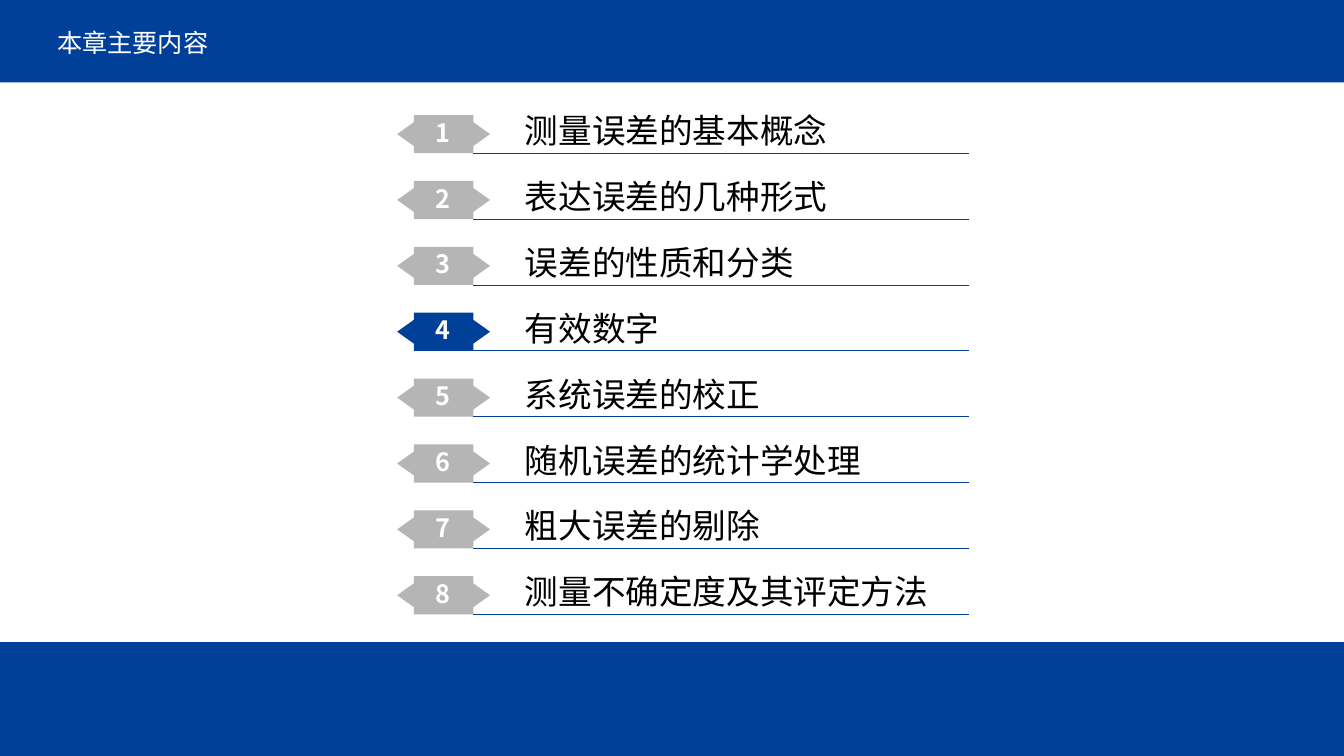
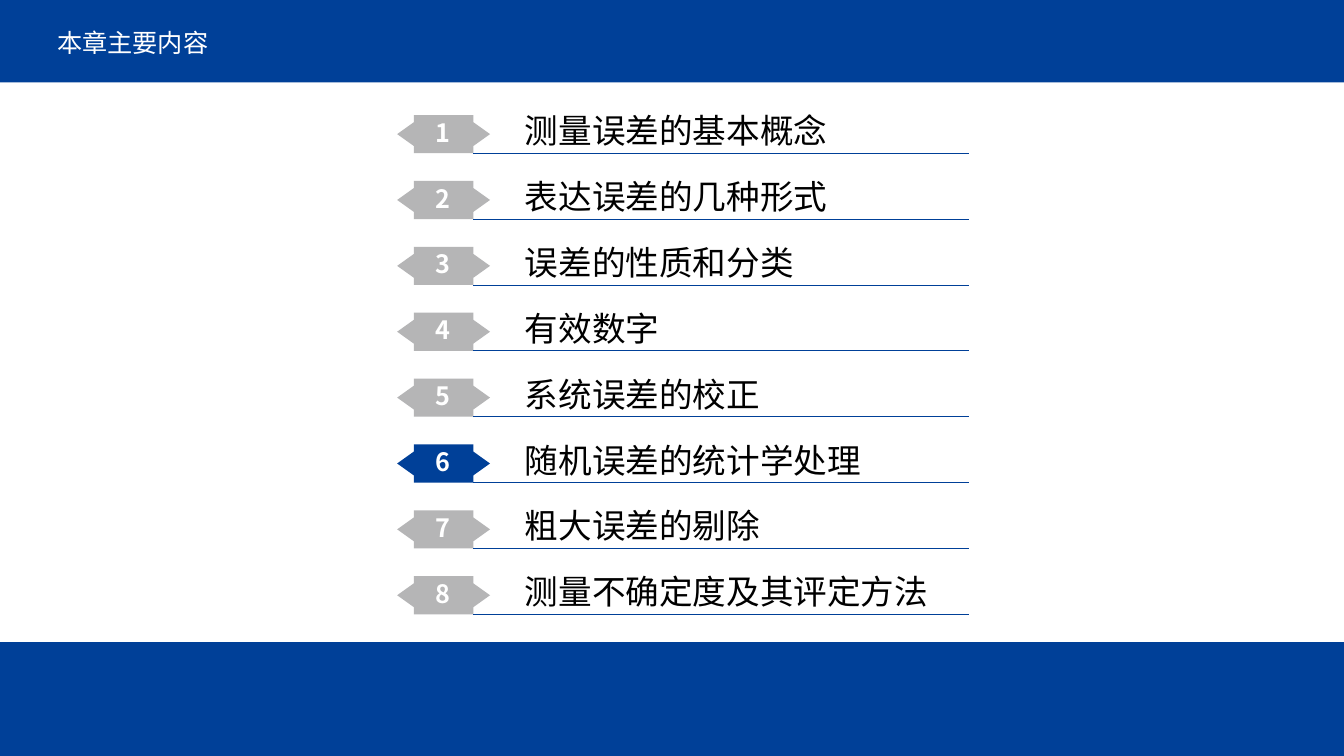
"""Build the chapter outline slides, each highlighting the current section."""
from dataclasses import dataclass

from pptx import Presentation
from pptx.dml.color import RGBColor as Rgb
from pptx.enum.shapes import MSO_CONNECTOR as Connector, MSO_SHAPE as Preset
from pptx.enum.text import MSO_ANCHOR as Anchor, PP_ALIGN as Align
from pptx.oxml.ns import qn
from pptx.util import Cm, Pt


@dataclass(frozen=True)
class Theme:
    blue: Rgb = Rgb(0x00, 0x40, 0x98)
    gray: Rgb = Rgb(0xB5, 0xB5, 0xB6)
    white: Rgb = Rgb(0xFF, 0xFF, 0xFF)
    black: Rgb = Rgb(0x00, 0x00, 0x00)
    latin: str = "Times New Roman"
    chinese: str = "Noto Sans CJK SC"
    title_size: Pt = Pt(18)
    number_size: Pt = Pt(18)
    topic_size: Pt = Pt(24)
    rule_width: Pt = Pt(0.5)


WIDTH, HEIGHT = Cm(33.87), Cm(19.05)
HEADER_HEIGHT, FOOTER_TOP = Cm(2.08), Cm(16.18)
FIRST_TOP, PITCH = Cm(2.9), Cm(1.66)
BADGE_LEFT, TIP, BODY = Cm(10.01), Cm(0.42), Cm(1.5)
BADGE_HEIGHT, NOTCH = Cm(0.96), Cm(0.18)
RULE_LEFT, RULE_RIGHT = BADGE_LEFT + TIP + BODY, Cm(24.43)

TITLE = "本章主要内容"
TOPICS = [
    "测量误差的基本概念",
    "表达误差的几种形式",
    "误差的性质和分类",
    "有效数字",
    "系统误差的校正",
    "随机误差的统计学处理",
    "粗大误差的剔除",
    "测量不确定度及其评定方法",
]
CURRENT_SECTIONS = [4, 6]


class Deck:
    def __init__(self, theme):
        self.theme = theme
        self.presentation = Presentation()
        self.presentation.slide_width = WIDTH
        self.presentation.slide_height = HEIGHT
        self.slide = None

    def new_slide(self, title):
        self.slide = self.presentation.slides.add_slide(self.presentation.slide_layouts[6])
        self.band(FOOTER_TOP, HEIGHT - FOOTER_TOP)
        self.band(0, HEADER_HEIGHT)
        heading = self.text(self.slide.shapes, title, Cm(1.19), Cm(0.66), Cm(23.98), Cm(0.94),
                            self.theme.title_size, self.theme.white)
        heading.vertical_anchor = Anchor.MIDDLE
        heading.paragraphs[0].line_spacing = 0.9

    def paint(self, shape, color):
        shape.shadow.inherit = False
        shape.fill.solid()
        shape.fill.fore_color.rgb = color
        shape.line.fill.background()

    def band(self, top, height):
        self.paint(self.slide.shapes.add_shape(Preset.RECTANGLE, 0, top, WIDTH, height), self.theme.blue)

    def text(self, shapes, words, left, top, width, height, size, color, latin=None):
        frame = shapes.add_textbox(left, top, width, height).text_frame
        frame.word_wrap = True
        frame.text = words
        font = frame.paragraphs[0].runs[0].font
        font.size = size
        font.color.rgb = color
        font.name = latin or self.theme.latin
        east_asian = font._element.makeelement(qn("a:ea"), {"typeface": self.theme.chinese})
        font._element.append(east_asian)
        return frame

    def badge(self, shapes, top, color):
        body_left, body_right = BADGE_LEFT + TIP, RULE_LEFT
        middle, bottom = top + BADGE_HEIGHT // 2, top + BADGE_HEIGHT
        outline = shapes.build_freeform(body_right, top)
        outline.add_line_segments([
            (body_left, top), (body_left, top + NOTCH), (BADGE_LEFT, middle),
            (body_left, bottom - NOTCH), (body_left, bottom), (body_right, bottom),
            (body_right, bottom - NOTCH), (body_right + TIP, middle), (body_right, top + NOTCH),
        ])
        self.paint(outline.convert_to_shape(), color)

    def number(self, shapes, value, top):
        frame = self.text(shapes, str(value), Cm(10.64), top - Cm(0.18), Cm(1.07), Cm(1.22),
                          self.theme.number_size, self.theme.white, self.theme.chinese)
        frame.word_wrap = False
        frame.vertical_anchor = Anchor.MIDDLE
        frame.paragraphs[0].alignment = Align.CENTER
        frame.paragraphs[0].runs[0].font.bold = True

    def rule(self, shapes, y):
        rule = shapes.add_connector(Connector.STRAIGHT, RULE_LEFT, y, RULE_RIGHT, y)
        rule.line.color.rgb = self.theme.blue
        rule.line.width = self.theme.rule_width
        properties = rule._element.spPr
        properties.append(properties.makeelement(qn("a:effectLst"), {}))

    def outline_row(self, section, topic, is_current):
        top = FIRST_TOP + (section - 1) * PITCH
        row = self.slide.shapes.add_group_shape().shapes
        self.badge(row, top, self.theme.blue if is_current else self.theme.gray)
        self.number(row, section, top)
        self.rule(row, top + BADGE_HEIGHT)
        self.text(row, topic, Cm(12.98), top - Cm(0.25), Cm(12.19), Cm(1.27),
                  self.theme.topic_size, self.theme.black)


def main():
    deck = Deck(Theme())
    for current in CURRENT_SECTIONS:
        deck.new_slide(TITLE)
        for section, topic in enumerate(TOPICS, start=1):
            deck.outline_row(section, topic, section == current)
    deck.presentation.save("out.pptx")


if __name__ == "__main__":
    main()
